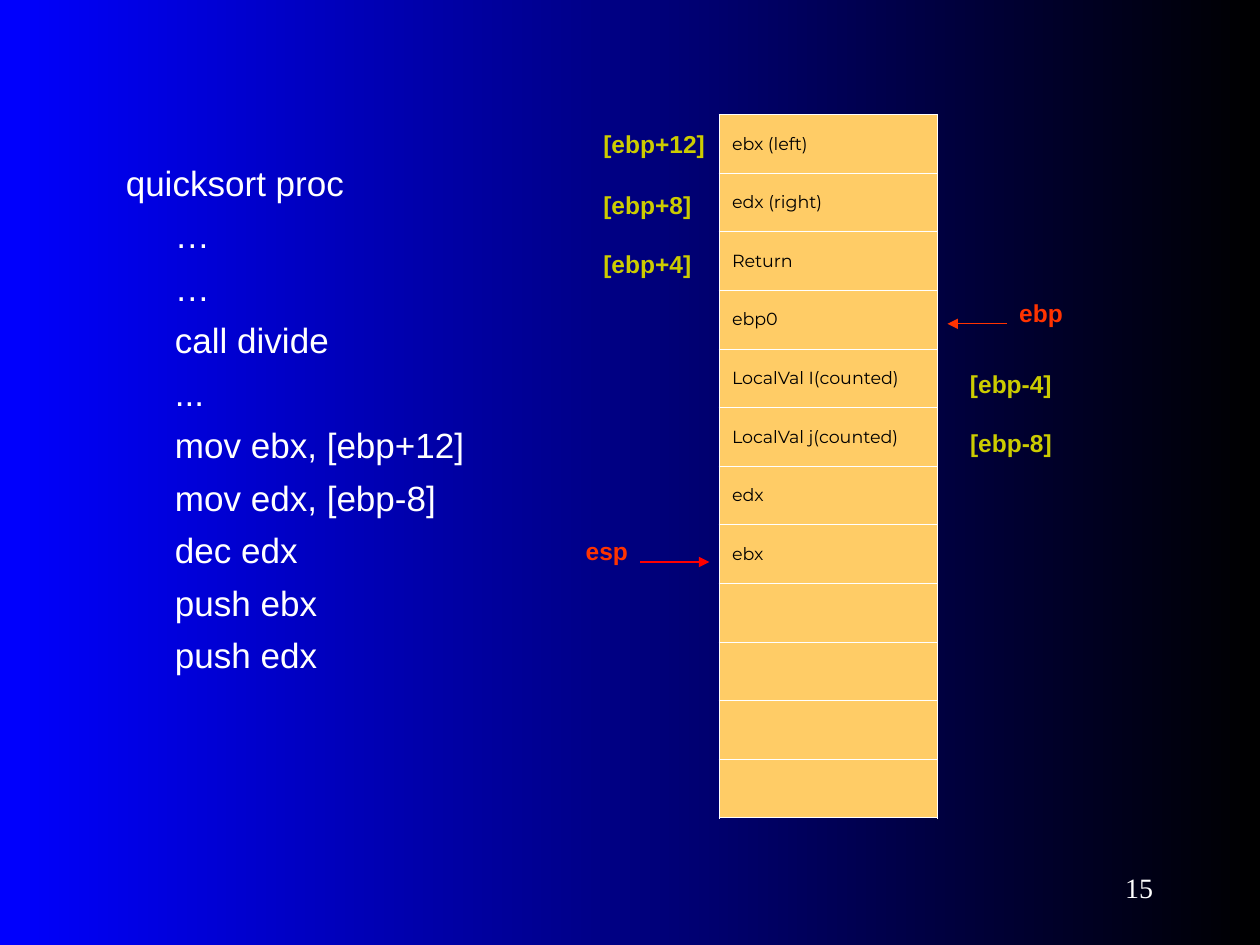
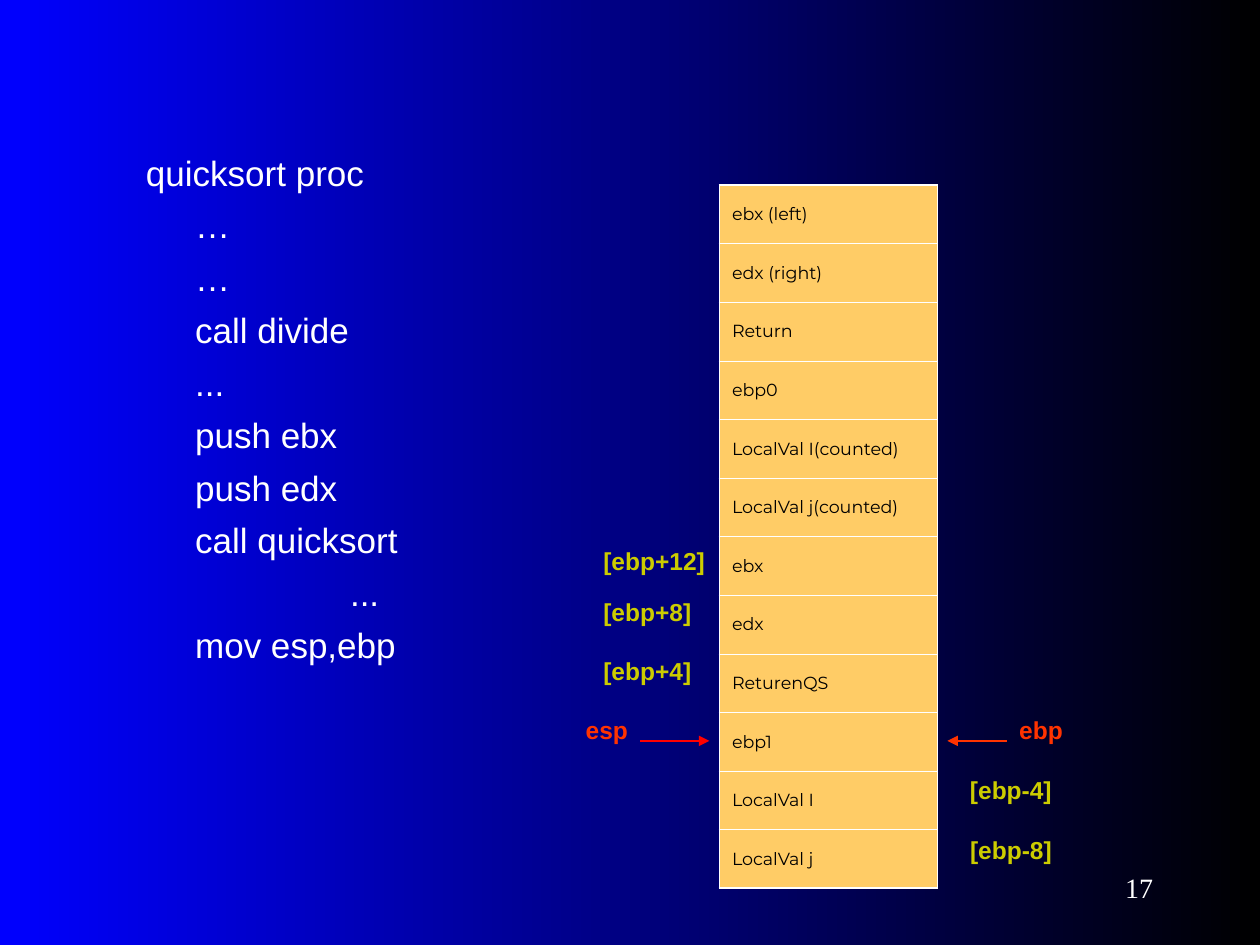
"""Build two slides that show the call stack of a recursive quicksort."""
from lxml import etree
from pptx import Presentation
from pptx.dml.color import RGBColor
from pptx.enum.shapes import MSO_CONNECTOR
from pptx.enum.text import MSO_ANCHOR, PP_ALIGN
from pptx.oxml.ns import qn
from pptx.util import Inches, Pt

STRAIGHT = MSO_CONNECTOR.STRAIGHT
MIDDLE = MSO_ANCHOR.MIDDLE
RIGHT = PP_ALIGN.RIGHT

BLACK = RGBColor(0x00, 0x00, 0x00)
BLUE = RGBColor(0x00, 0x00, 0xFF)
WHITE = RGBColor(0xFF, 0xFF, 0xFF)
CELL_ORANGE = RGBColor(0xFF, 0xCC, 0x66)
REGISTER_RED = RGBColor(0xFF, 0x33, 0x00)
ARROW_RED = RGBColor(0xFF, 0x00, 0x00)
OFFSET_YELLOW = RGBColor(0xCC, 0xCC, 0x00)

CODE_INDENT = 0.39
STACK_LEFT, STACK_WIDTH, ROW_HEIGHT = 5.71, 1.73, 0.465
OUTER_BORDER, INNER_BORDER = Pt(1.08), Pt(0.45)
LABEL_HEIGHT, ARROW_DROP = 0.53, 0.32

OFFSET_LABELS = {
    "[ebp+4]": (4.69, 1.09),
    "[ebp+8]": (4.69, 0.94),
    "[ebp+12]": (4.69, 1.32),
    "[ebp-4]": (7.6, 0.94),
    "[ebp-8]": (7.6, 1.18),
}
POINTERS = {
    "esp": (4.55, 0.69, 5.08, 5.63, ARROW_RED),
    "ebp": (7.99, 0.68, 7.99, 7.52, REGISTER_RED),
}
CALLER_FRAME = ["ebx (left)", "edx (right)", "Return", "ebp0",
                "LocalVal I(counted)", "LocalVal j(counted)"]
CODE_START = [("quicksort proc", 0), ("…", CODE_INDENT), ("…", CODE_INDENT),
              ("call divide", CODE_INDENT), ("...", CODE_INDENT)]

PUSH_SLIDE = {
    "number": "15",
    "code_box": (0.9, 1.23, 4.01, 5.75),
    "code": CODE_START + [
        ("mov ebx, [ebp+12]", CODE_INDENT), ("mov edx, [ebp-8]", CODE_INDENT),
        ("dec edx", CODE_INDENT), ("push ebx", CODE_INDENT),
        ("push edx", CODE_INDENT)],
    "stack_top": 0.91,
    "stack": CALLER_FRAME + ["edx", "ebx", "", "", "", ""],
    "pointer_tops": {"esp": 4.14, "ebp": 2.25},
    "offset_tops": {"[ebp+4]": 1.86, "[ebp+8]": 1.39, "[ebp+12]": 0.91,
                    "[ebp-4]": 2.81, "[ebp-8]": 3.28},
}
RETURN_SLIDE = {
    "number": "17",
    "code_box": (1.06, 1.15, 3.85, 5.98),
    "code": CODE_START + [
        ("push ebx", CODE_INDENT), ("push edx", CODE_INDENT),
        ("call quicksort", CODE_INDENT), ("...", 1.62),
        ("mov esp,ebp", CODE_INDENT)],
    "stack_top": 1.47,
    "stack": CALLER_FRAME + ["ebx", "edx", "ReturenQS", "ebp1",
                             "LocalVal I", "LocalVal j"],
    "pointer_tops": {"esp": 5.56, "ebp": 5.56},
    "offset_tops": {"[ebp+4]": 5.09, "[ebp+8]": 4.62, "[ebp+12]": 4.22,
                    "[ebp-4]": 6.03, "[ebp-8]": 6.51},
}


def set_background(slide):
    """Fill the slide with the blue to black gradient."""
    fill = slide.background.fill
    fill.gradient()
    fill.gradient_angle = 180
    for stop, color in zip(fill.gradient_stops, (BLACK, BLUE)):
        stop.color.rgb = color


def style_font(paragraph, name, size, color, bold=False):
    """Format every run of a paragraph."""
    for run in paragraph.runs:
        run.font.name = name
        run.font.size = Pt(size)
        run.font.color.rgb = color
        run.font.bold = bold


def add_text_box(slide, box, text):
    """Add a text box and return its text frame."""
    text_frame = slide.shapes.add_textbox(*map(Inches, box)).text_frame
    text_frame.text = text
    return text_frame


def add_code(slide, box, lines):
    """Add the assembly listing, one indented paragraph per line."""
    text_frame = add_text_box(slide, box, "\n".join(text for text, _ in lines))
    text_frame.word_wrap = True
    for index, (_, indent) in enumerate(lines):
        paragraph = text_frame.paragraphs[index]
        properties = paragraph._p.get_or_add_pPr()
        properties.set("marL", str(Inches(indent)))
        properties.set("indent", "0")
        if index:
            paragraph.space_before = Pt(6)
        style_font(paragraph, "Arial", 20, WHITE)


def set_border(cell, side, width):
    """Draw one white border of a table cell."""
    line = etree.SubElement(cell._tc.get_or_add_tcPr(), qn(f"a:ln{side}"),
                            w=str(int(width)))
    fill = etree.SubElement(line, qn("a:solidFill"))
    etree.SubElement(fill, qn("a:srgbClr"), val=str(WHITE))


def add_stack(slide, top, entries):
    """Add the stack as a one-column table."""
    table = slide.shapes.add_table(
        len(entries), 1, Inches(STACK_LEFT), Inches(top), Inches(STACK_WIDTH),
        Inches(ROW_HEIGHT * len(entries))).table
    table.first_row = False
    table.horz_banding = False
    last = len(entries) - 1
    for index, entry in enumerate(entries):
        table.rows[index].height = Inches(ROW_HEIGHT)
        cell = table.cell(index, 0)
        cell.text = entry
        cell.vertical_anchor = MIDDLE
        style_font(cell.text_frame.paragraphs[0], "Montserrat", 10, BLACK)
        set_border(cell, "L", OUTER_BORDER)
        set_border(cell, "R", OUTER_BORDER)
        set_border(cell, "T", INNER_BORDER if index else OUTER_BORDER)
        set_border(cell, "B", INNER_BORDER if index < last else OUTER_BORDER)
        cell.fill.solid()
        cell.fill.fore_color.rgb = CELL_ORANGE


def add_label(slide, text, left, top, width, color):
    """Add a bold label beside the stack."""
    text_frame = add_text_box(slide, (left, top, width, LABEL_HEIGHT), text)
    text_frame.margin_top = text_frame.margin_bottom = Inches(0.15)
    style_font(text_frame.paragraphs[0], "Arial", 14, color, bold=True)


def add_arrow(slide, start, end, height, color):
    """Add a horizontal arrow pointing at the stack."""
    connector = slide.shapes.add_connector(
        STRAIGHT, Inches(start), Inches(height), Inches(end), Inches(height))
    connector.line.color.rgb = color
    connector.line.width = Pt(0.75)
    etree.SubElement(connector.line._get_or_add_ln(), qn("a:tailEnd"),
                     type="triangle")
    etree.SubElement(connector._element.spPr, qn("a:effectLst"))


def add_pointer(slide, register, top):
    """Add a register name with its arrow."""
    left, width, start, end, color = POINTERS[register]
    add_arrow(slide, start, end, top + ARROW_DROP, color)
    add_label(slide, register, left, top, width, REGISTER_RED)


def add_slide_number(slide, number):
    """Add the number at the bottom right."""
    text_frame = add_text_box(slide, (8.17, 6.83, 1.08, 0.42), number)
    text_frame.word_wrap = True
    text_frame.vertical_anchor = MIDDLE
    paragraph = text_frame.paragraphs[0]
    paragraph.alignment = RIGHT
    style_font(paragraph, "Times New Roman", 16, WHITE)


def add_stack_slide(presentation, content):
    """Add one slide with its code, stack and labels."""
    slide = presentation.slides.add_slide(presentation.slide_layouts[6])
    set_background(slide)
    add_code(slide, content["code_box"], content["code"])
    add_stack(slide, content["stack_top"], content["stack"])
    for register, top in content["pointer_tops"].items():
        add_pointer(slide, register, top)
    for text, top in content["offset_tops"].items():
        left, width = OFFSET_LABELS[text]
        add_label(slide, text, left, top, width, OFFSET_YELLOW)
    add_slide_number(slide, content["number"])


def main():
    """Build and save the presentation."""
    presentation = Presentation()
    presentation.slide_width = Inches(10)
    presentation.slide_height = Inches(7.5)
    for content in (PUSH_SLIDE, RETURN_SLIDE):
        add_stack_slide(presentation, content)
    presentation.save("out.pptx")


if __name__ == "__main__":
    main()
